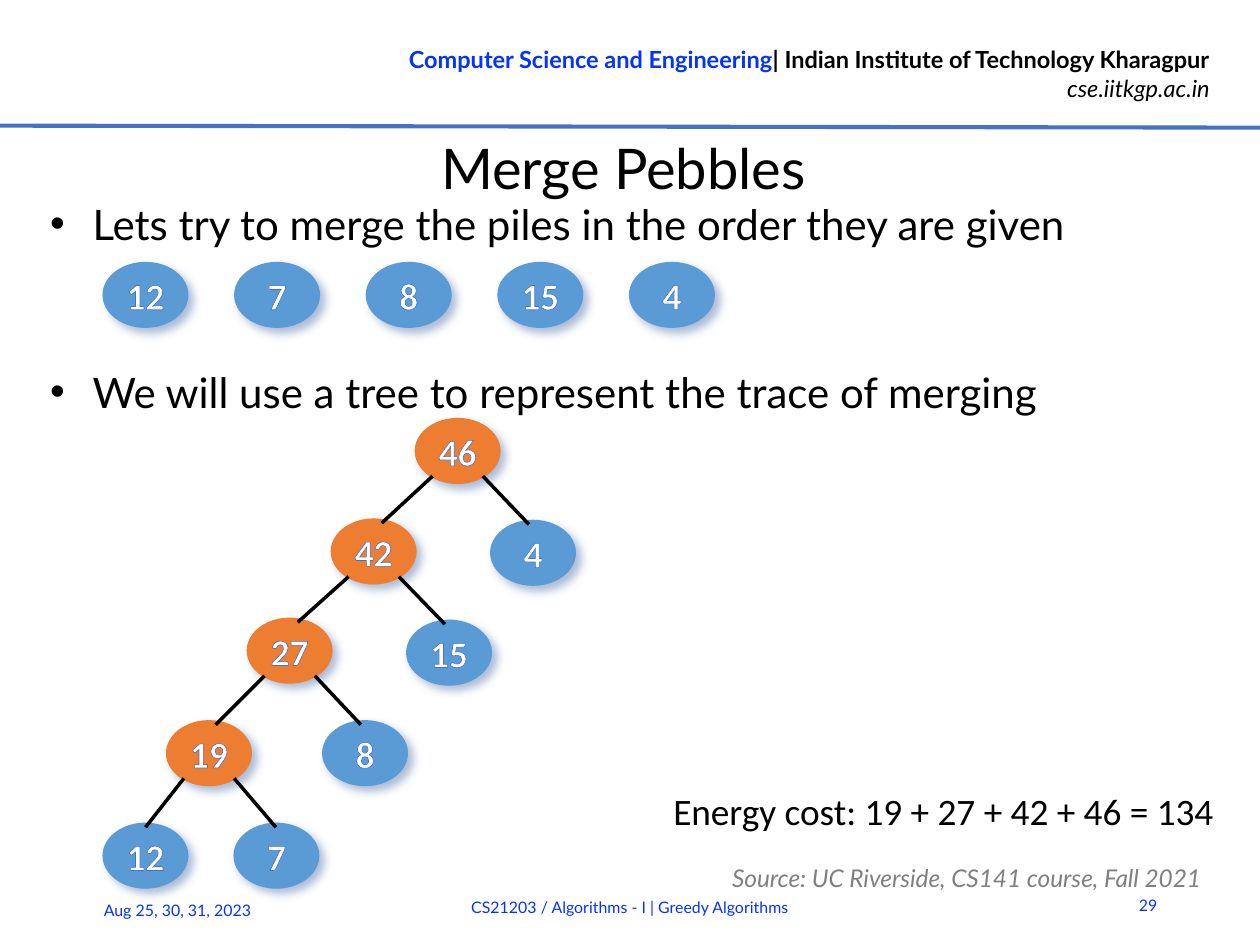
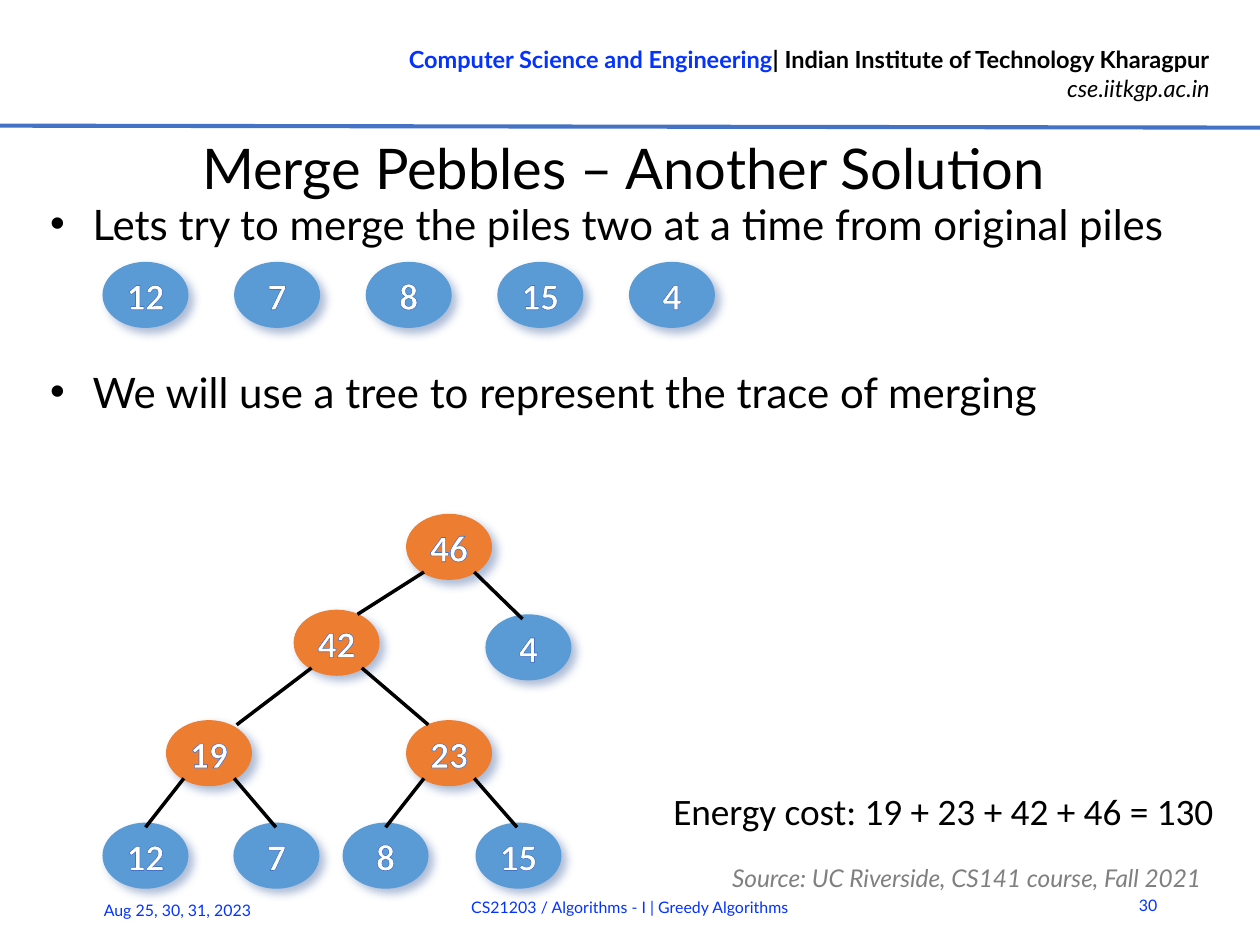
from lxml import etree
from pptx import Presentation
from pptx.dml.color import RGBColor
from pptx.enum.shapes import MSO_CONNECTOR, MSO_SHAPE
from pptx.enum.text import MSO_ANCHOR, MSO_AUTO_SIZE, PP_ALIGN
from pptx.oxml.ns import qn
from pptx.util import Cm, Pt

LEFT, CENTER, RIGHT = PP_ALIGN.LEFT, PP_ALIGN.CENTER, PP_ALIGN.RIGHT
TOP, MIDDLE = MSO_ANCHOR.TOP, MSO_ANCHOR.MIDDLE
STRAIGHT, OVAL = MSO_CONNECTOR.STRAIGHT, MSO_SHAPE.OVAL
NO_FIT = MSO_AUTO_SIZE.NONE

COLOURS = {
    "ink": "000000", "link": "0432FF", "rule": "4472C4", "grey": "808080",
    "white": "FFFFFF", "pile": "5B9BD5", "merged": "ED7D31", "shade": "2F5597",
}
HEAD = {"name": "Lato", "size": Pt(10.1)}
TITLE = {"name": "Lato", "size": Pt(24)}
BODY = {"name": "Lato", "size": Pt(18)}
FOOT = {"name": "Lato", "size": Pt(6.8)}
SOURCE = {"name": "Lato", "size": Pt(10.5), "italic": True}
COST = {"name": "Calibri", "size": Pt(16)}
PEBBLE = {"name": "Calibri", "size": Pt(16), "bold": True}
SPACED = {"line_spacing": Pt(18), "space_after": Pt(3)}
NO_MARGINS = {"margin_left": 0, "margin_right": 0, "margin_top": 0,
              "margin_bottom": 0, "vertical_anchor": MIDDLE}

PEBBLE_WIDTH, PEBBLE_HEIGHT = 1.3, 1
BOTTOM_ROW, PAIR_ROW = 12.94, 11.39


def apply(target, values):
    for name, value in values.items():
        setattr(target, name, value)


class Lecture:
    def __init__(self):
        self.deck = Presentation()
        self.deck.slide_width, self.deck.slide_height = Cm(19.05), Cm(14.29)
        self.layout = self.deck.slide_layouts[5]
        self.page = None

    def add_page(self, title, number):
        self.page = self.deck.slides.add_slide(self.layout)
        if len(self.deck.slides) == 1:
            self.share_header()
        box = self.page.shapes.title
        apply(box, {"left": Cm(0.61), "top": Cm(2.01),
                    "width": Cm(17.63), "height": Cm(1.04)})
        apply(box.text_frame, NO_MARGINS | {"auto_size": NO_FIT})
        self.add_span(box.text_frame.paragraphs[0], title, TITLE, "ink", CENTER)
        self.add_text((16.81, 13.31, 0.94, 0.76), str(number), FOOT, "link",
                      RIGHT, MIDDLE)
        self.add_text((1.32, 13.39, 3.33, 0.76), "Aug 25, 30, 31, 2023",
                      FOOT, "link", LEFT, MIDDLE)
        self.add_text((3.15, 13.34, 12.75, 0.76),
                      "CS21203 / Algorithms - I | Greedy Algorithms",
                      FOOT, "link", CENTER, MIDDLE)
        source = self.add_text((10.82, 12.93, 8.08, 0.51),
                               "Source: UC Riverside, CS141 course, Fall 2021",
                               SOURCE, "grey", LEFT, MIDDLE)
        apply(source.text_frame.paragraphs[0], SPACED)

    def share_header(self):
        bold = HEAD | {"bold": True}
        box = self.add_text((4.85, 0.56, 13.69, 1.12),
                            "Computer Science and Engineering", bold, "link", RIGHT)
        frame = box.text_frame
        self.add_span(frame.paragraphs[0],
                      "| Indian Institute of Technology Kharagpur",
                      bold, "ink", RIGHT)
        self.add_span(frame.add_paragraph(), "cse.iitkgp.ac.in",
                      HEAD | {"italic": True}, "ink", RIGHT)
        rule = self.add_line((0, 1.9), (19.05, 1.93), "rule", 1.75)
        for shape in (box, rule):
            self.layout.shapes.element.append(shape.element)

    def add_span(self, para, text, style, colour, align=LEFT):
        para.alignment = align
        span = para.add_run()
        span.text = text
        apply(span.font, style)
        span.font.color.rgb = RGBColor.from_string(COLOURS[colour])
        return span

    def add_text(self, place, text, style, colour, align=LEFT, anchor=TOP):
        box = self.page.shapes.add_textbox(*map(Cm, place))
        apply(box.text_frame, {"word_wrap": True, "vertical_anchor": anchor})
        self.add_span(box.text_frame.paragraphs[0], text, style, colour, align)
        return box

    def add_bullets(self, *lines):
        box = self.page.shapes.add_textbox(Cm(0.51), Cm(3), Cm(17.86), Cm(10.29))
        frame = box.text_frame
        frame.word_wrap = True
        for index, line in enumerate(lines):
            para = frame.add_paragraph() if index else frame.paragraphs[0]
            properties = para._p.get_or_add_pPr()
            properties.set("marL", str(Cm(0.64)))
            properties.set("indent", str(-Cm(0.64)))
            etree.SubElement(properties, qn("a:buFont"), typeface="Arial")
            etree.SubElement(properties, qn("a:buChar"), char="•")
            apply(para, SPACED)
            if index:
                para.space_before = Pt(51)
            self.add_span(para, line, BODY, "ink")

    def add_line(self, start, end, colour="ink", width=1.5):
        line = self.page.shapes.add_connector(STRAIGHT, *map(Cm, start + end))
        line.line.color.rgb = RGBColor.from_string(COLOURS[colour])
        line.line.width = Pt(width)
        etree.SubElement(line.element.spPr, qn("a:effectLst"))
        return line

    def add_pebble(self, value, x, y, colour="pile"):
        pebble = self.page.shapes.add_shape(
            OVAL, Cm(x - PEBBLE_WIDTH / 2), Cm(y - PEBBLE_HEIGHT / 2),
            Cm(PEBBLE_WIDTH), Cm(PEBBLE_HEIGHT))
        pebble.fill.solid()
        pebble.fill.fore_color.rgb = RGBColor.from_string(COLOURS[colour])
        pebble.line.fill.background()
        pebble.shadow.inherit = False
        effects = pebble.element.spPr.find(qn("a:effectLst"))
        shadow = etree.SubElement(
            effects, qn("a:outerShdw"), blurRad=str(Pt(4)), dist=str(Pt(3)),
            dir="2700000", algn="tl", rotWithShape="0")
        tint = etree.SubElement(shadow, qn("a:srgbClr"), val=COLOURS["shade"])
        etree.SubElement(tint, qn("a:alpha"), val="40000")
        frame = pebble.text_frame
        apply(frame, NO_MARGINS | {"word_wrap": False})
        span = self.add_span(frame.paragraphs[0], str(value), PEBBLE, "white", CENTER)
        outline = etree.Element(qn("a:ln"), w=str(Pt(0.8)))
        fill = etree.SubElement(outline, qn("a:solidFill"))
        etree.SubElement(fill, qn("a:srgbClr"), val=COLOURS["rule"])
        span._r.get_or_add_rPr().insert(0, outline)

    def add_piles(self, *values):
        for index, value in enumerate(values):
            self.add_pebble(value, 2.2 + 1.99 * index, 4.46)

    def add_tree(self, value, x, y, *children):
        self.add_pebble(value, x, y, "merged" if children else "pile")
        for child in children:
            self.add_tree(*child)
            child_x, child_y = child[1:3]
            side = 1 if child_x > x else -1
            inset = 0.45 * max(0, abs(child_x - x) - 1)
            self.add_line((x + side * 0.38, y + 0.38),
                          (child_x - side * inset, child_y - 0.43))

    def add_cost(self, *terms):
        total = " + ".join(map(str, terms))
        self.add_text((9.93, 11.8, 8.9, 0.94),
                      f"Energy cost: {total} = {sum(terms)}", COST, "ink")


def main():
    first_pair = (19, 3.16, PAIR_ROW, (12, 2.2, BOTTOM_ROW), (7, 4.18, BOTTOM_ROW))
    second_pair = (23, 6.79, PAIR_ROW, (8, 5.83, BOTTOM_ROW), (15, 7.84, BOTTOM_ROW))
    in_order = (46, 6.92, 6.82,
                (42, 5.65, 8.34,
                 (27, 4.38, 9.84, first_pair, (8, 5.52, PAIR_ROW)),
                 (15, 6.79, 9.87)),
                (4, 8.06, 8.36))
    in_pairs = (46, 6.79, 8.27,
                (42, 5.09, 9.72, first_pair, second_pair),
                (4, 7.99, 9.79))
    pages = [
        ("Merge Pebbles", "Lets try to merge the piles in the order they are given",
         in_order, (19, 27, 42, 46)),
        ("Merge Pebbles – Another Solution",
         "Lets try to merge the piles two at a time from original piles",
         in_pairs, (19, 23, 42, 46)),
    ]
    lecture = Lecture()
    for number, (title, plan, tree, costs) in enumerate(pages, 29):
        lecture.add_page(title, number)
        lecture.add_bullets(plan, "We will use a tree to represent the trace of merging")
        lecture.add_piles(12, 7, 8, 15, 4)
        lecture.add_tree(*tree)
        lecture.add_cost(*costs)
    lecture.deck.save("out.pptx")


if __name__ == "__main__":
    main()
